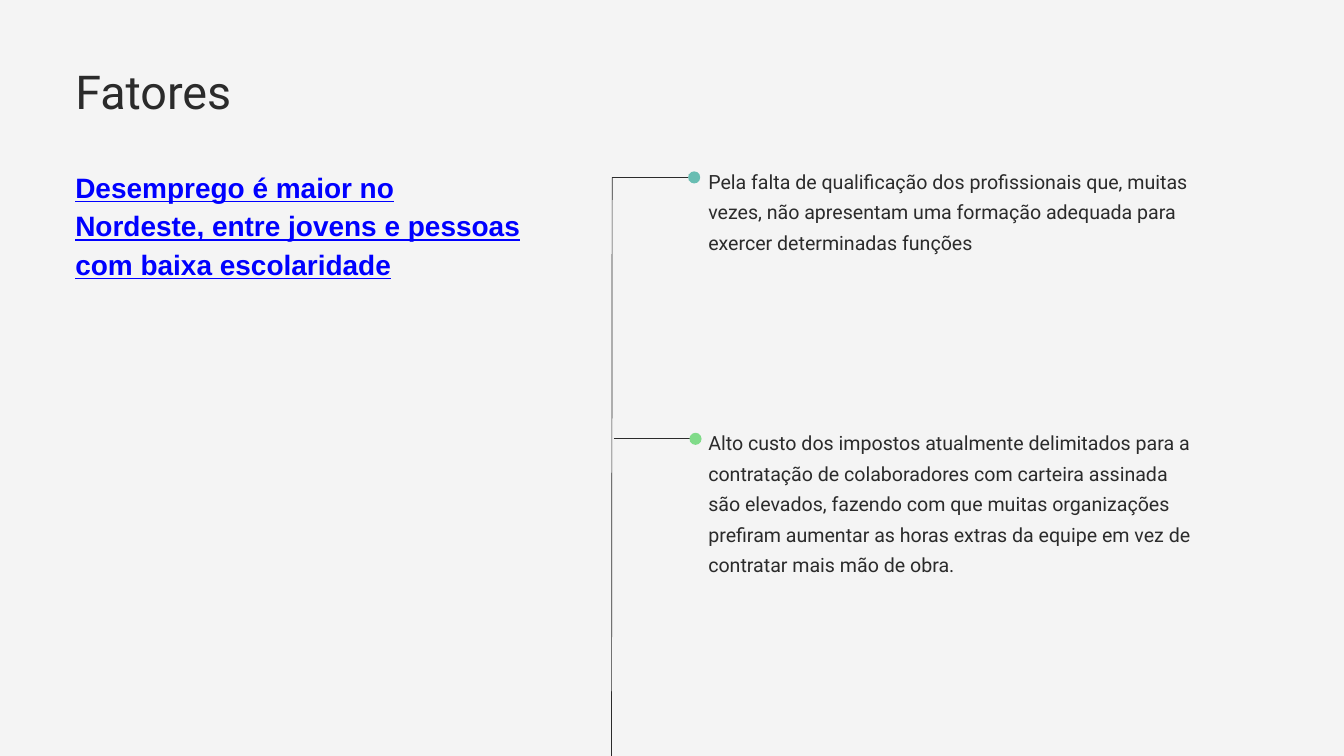
from dataclasses import dataclass

from lxml import etree
from pptx import Presentation
from pptx.dml.color import RGBColor
from pptx.enum.shapes import MSO_CONNECTOR, MSO_SHAPE
from pptx.enum.text import MSO_ANCHOR, MSO_AUTO_SIZE, PP_ALIGN
from pptx.oxml.ns import qn
from pptx.util import Emu, Pt

STRAIGHT = MSO_CONNECTOR.STRAIGHT
OVAL = MSO_SHAPE.OVAL
TOP = MSO_ANCHOR.TOP
LEFT = PP_ALIGN.LEFT
GROW = MSO_AUTO_SIZE.SHAPE_TO_FIT_TEXT

EMU_PER_PX = 9144  # 100 px to the inch
SLIDE_W, SLIDE_H = 2000, 1125
MARGIN = 112
FACTOR_LEFT, FACTOR_W = 1054, 728
FACTOR_RISE = 22  # factor text starts this far above its branch
BRANCH_W, DOT_SIZE = 122, 18

COLORS = {
    "background": "F4F4F4",
    "ink": "2B2B2B",
    "headline": "0000FF",
    "teal": "68BDB2",
    "green": "80DB89",
}


@dataclass
class Factor:
    text: str
    branch_x: int
    branch_y: int
    text_h: int
    dot_color: str


FACTORS = [
    Factor("Pela falta de qualificação dos profissionais que, muitas vezes, "
           "não apresentam uma formação adequada para exercer determinadas funções",
           911, 264, 127, "teal"),
    Factor("Alto custo dos impostos atualmente delimitados para a contratação de "
           "colaboradores com carteira assinada são elevados, fazendo com que muitas "
           "organizações prefiram aumentar as horas extras da equipe em vez de "
           "contratar mais mão de obra.",
           913, 653, 219, "green"),
]


def px(length: int) -> Emu:
    return Emu(length * EMU_PER_PX)


def rgb(name: str) -> RGBColor:
    return RGBColor.from_string(COLORS[name])


def write_text(shape, text: str, *, size: int, spacing: float, font: str = "Roboto",
               color: str = "ink", bold: bool = False, underline: bool = False) -> None:
    frame = shape.text_frame
    frame.margin_left = frame.margin_top = frame.margin_right = frame.margin_bottom = 0
    frame.word_wrap = True
    frame.auto_size = GROW
    frame.vertical_anchor = TOP
    paragraph = frame.paragraphs[0]
    paragraph.alignment = LEFT
    paragraph.line_spacing = spacing
    run = paragraph.add_run()
    run.text = text
    run.font.name = font
    run.font.size = Pt(size)
    run.font.bold = bold
    run.font.underline = underline
    run.font.color.rgb = rgb(color)


def add_textbox(slide, x: int, y: int, w: int, h: int):
    return slide.shapes.add_textbox(px(x), px(y), px(w), px(h))


def add_line(slide, x1: int, y1: int, x2: int, y2: int, arrow: bool = False) -> None:
    line = slide.shapes.add_connector(STRAIGHT, px(x1), px(y1), px(x2), px(y2))
    line.line.color.rgb = rgb("ink")
    line.line.width = Pt(0.75)
    if arrow:
        etree.SubElement(line.line._get_or_add_ln(), qn("a:tailEnd"), type="stealth")
    etree.SubElement(line._element.spPr, qn("a:effectLst"))


def add_dot(slide, center_x: int, center_y: int, color: str) -> None:
    radius = DOT_SIZE // 2
    dot = slide.shapes.add_shape(OVAL, px(center_x - radius), px(center_y - radius),
                                 px(DOT_SIZE), px(DOT_SIZE))
    dot.shadow.inherit = False
    dot.fill.solid()
    dot.fill.fore_color.rgb = rgb(color)
    dot.line.fill.background()


def add_factor(slide, factor: Factor) -> None:
    dot_x = factor.branch_x + BRANCH_W
    add_line(slide, factor.branch_x, factor.branch_y, dot_x, factor.branch_y, arrow=True)
    add_dot(slide, dot_x, factor.branch_y, factor.dot_color)
    box = add_textbox(slide, FACTOR_LEFT, factor.branch_y - FACTOR_RISE,
                      FACTOR_W, factor.text_h)
    write_text(box, factor.text, size=21, spacing=1.3)


def main() -> None:
    presentation = Presentation()
    presentation.slide_width, presentation.slide_height = px(SLIDE_W), px(SLIDE_H)
    slide = presentation.slides.add_slide(presentation.slide_layouts[5])
    slide.background.fill.solid()
    slide.background.fill.fore_color.rgb = rgb("background")

    # Title
    title = slide.shapes.title
    title.left, title.top, title.width, title.height = px(MARGIN), px(85), px(1669), px(84)
    write_text(title, "Fatores", size=50, spacing=1.1)

    # Headline on the left
    headline = add_textbox(slide, MARGIN, 246, 668, 208)
    write_text(headline,
               "Desemprego é maior no Nordeste, entre jovens e pessoas com baixa escolaridade",
               size=30, spacing=1.15, font="Arial", color="headline",
               bold=True, underline=True)

    # Spine with one branch per factor
    add_line(slide, 910, SLIDE_H, FACTORS[0].branch_x, FACTORS[0].branch_y)
    for factor in FACTORS:
        add_factor(slide, factor)

    presentation.save("out.pptx")


if __name__ == "__main__":
    main()
